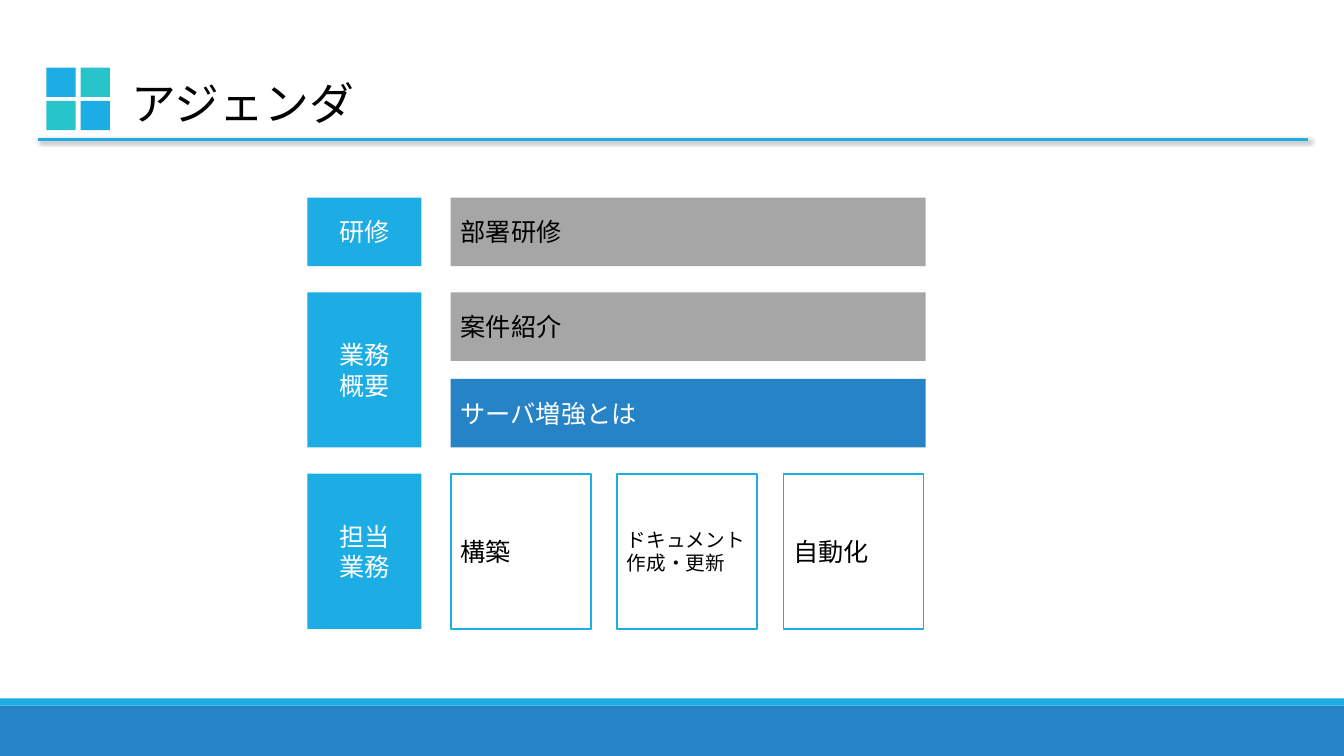
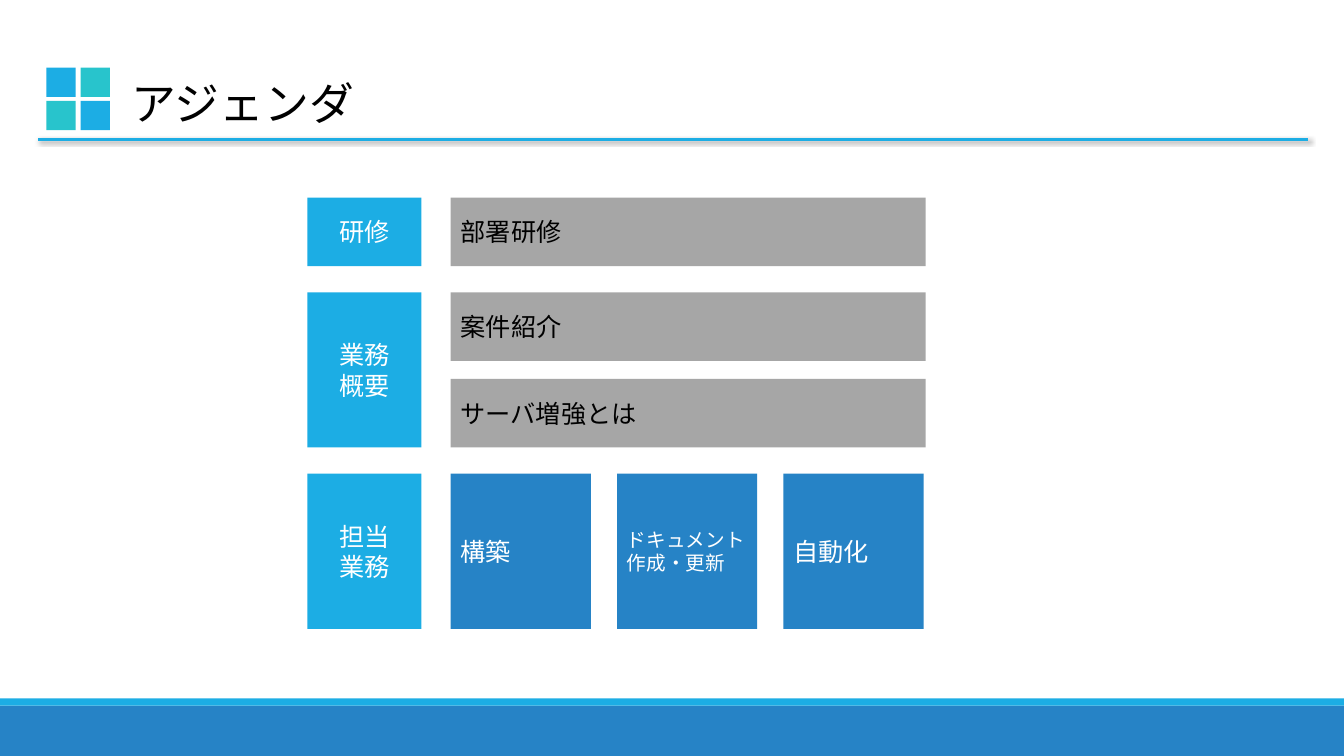
import pptx
import pptx.dml.color
import pptx.enum.shapes
import pptx.enum.text
import pptx.oxml
import pptx.oxml.ns
import pptx.util

PX = 9144  # EMU per px, 100 px to the inch
PAGE_W, PAGE_H = 1333, 750

COLORS = {
    "sky": "1CADE4",
    "blue": "2683C6",
    "teal": "28C4CC",
    "gray": "A6A6A6",
    "white": "FFFFFF",
    "black": "000000",
}
# Style of an agenda item: fill, text colour, outline
STYLES = {
    "label": ("sky", "white", None),
    "muted": ("gray", "black", None),
    "active": ("blue", "white", None),
    "open": ("white", "black", "sky"),
}
TITLE_FONT, BODY_FONT = "Arial", "Calibri"

# Agenda grid
LABEL_X, LABEL_W = 305, 113
ITEM_X, BAR_W = 447, 471
CARD_W, CARD_GAP = 139, 26
TOP, BAR_H, BAR_GAP, SECTION_GAP = 196, 68, 18, 26
BLOCK_H = 2 * BAR_H + BAR_GAP

BAR_SECTIONS = [("研修", ["部署研修"]), ("業務\v概要", ["案件紹介", "サーバ増強とは"])]
CARD_LABEL = "担当\v業務"
CARDS = [("構築", 18), ("ドキュメント作成・更新", 14), ("自動化", 18)]


def px(length):
    return pptx.util.Emu(length * PX)


def rgb(name):
    return pptx.dml.color.RGBColor.from_string(COLORS[name])


def add_rect(shapes, left, top, width, height, fill, outline=None):
    box = shapes.add_shape(pptx.enum.shapes.MSO_SHAPE.RECTANGLE,
                           px(left), px(top), px(width), px(height))
    box.shadow.inherit = False
    box.fill.solid()
    box.fill.fore_color.rgb = rgb(fill)
    if outline:
        box.line.color.rgb = rgb(outline)
        box.line.width = pptx.util.Pt(1.25)
    else:
        box.line.fill.background()
    return box


def write(box, text, size, font, color, align=pptx.enum.text.PP_ALIGN.LEFT):
    box.text_frame.word_wrap = True
    para = box.text_frame.paragraphs[0]
    para.text = text
    para.alignment = align
    para.font.size = pptx.util.Pt(size)
    para.font.name = font
    para.font.color.rgb = rgb(color)


def add_item(page, left, top, width, height, text, style, size=18):
    fill, color, outline = STYLES[style]
    box = add_rect(page.shapes, left, top, width, height, fill, outline)
    box.text_frame.vertical_anchor = pptx.enum.text.MSO_ANCHOR.MIDDLE
    aligns = pptx.enum.text.PP_ALIGN
    write(box, text, size, BODY_FONT, color,
          aligns.CENTER if style == "label" else aligns.LEFT)


def add_title_rule(page):
    rule = page.shapes.add_connector(pptx.enum.shapes.MSO_CONNECTOR.STRAIGHT,
                                     px(38), px(138), px(1297), px(138))
    rule.line.color.rgb = rgb("sky")
    rule.line.width = pptx.util.Pt(2)
    rule._element.spPr.append(pptx.oxml.parse_xml(
        f'<a:effectLst {pptx.oxml.ns.nsdecls("a")}>'
        '<a:outerShdw blurRad="38100" dist="25400" dir="2700000" algn="tl" rotWithShape="0">'
        f'<a:srgbClr val="{COLORS["black"]}"><a:alpha val="60000"/></a:srgbClr>'
        '</a:outerShdw></a:effectLst>'))


def add_frame(page, title):
    # Footer bands
    add_rect(page.shapes, 0, 700, PAGE_W, 50, "blue")
    add_rect(page.shapes, 0, 693, PAGE_W, 7, "sky")

    # Checkered title mark
    mark = page.shapes.add_group_shape()
    for row in range(2):
        for column in range(2):
            add_rect(mark.shapes, 46 + 34 * column, 67 + 33 * row, 29, 29,
                     "sky" if row == column else "teal")

    # Title and its rule
    add_title_rule(page)
    box = page.shapes.add_textbox(px(121), px(70), px(1176), px(64))
    write(box, title, 32, TITLE_FONT, "black")
    box.text_frame.auto_size = pptx.enum.text.MSO_AUTO_SIZE.SHAPE_TO_FIT_TEXT


def add_agenda(page, active_bar, card_style):
    # Sections made of full-width bars
    top = TOP
    for label, bars in BAR_SECTIONS:
        height = len(bars) * (BAR_H + BAR_GAP) - BAR_GAP
        add_item(page, LABEL_X, top, LABEL_W, height, label, "label")
        for index, text in enumerate(bars):
            add_item(page, ITEM_X, top + index * (BAR_H + BAR_GAP), BAR_W, BAR_H,
                     text, "active" if text == active_bar else "muted")
        top += height + SECTION_GAP

    # Section made of cards
    add_item(page, LABEL_X, top, LABEL_W, BLOCK_H, CARD_LABEL, "label")
    for index, (text, size) in enumerate(CARDS):
        add_item(page, ITEM_X + index * (CARD_W + CARD_GAP), top, CARD_W, BLOCK_H,
                 text, card_style, size)


def main():
    deck = pptx.Presentation()
    deck.slide_width, deck.slide_height = px(PAGE_W), px(PAGE_H)
    for active_bar, card_style in [("サーバ増強とは", "open"), (None, "active")]:
        page = deck.slides.add_slide(deck.slide_layouts[6])
        add_frame(page, "アジェンダ")
        add_agenda(page, active_bar, card_style)
    deck.save("out.pptx")


if __name__ == "__main__":
    main()
